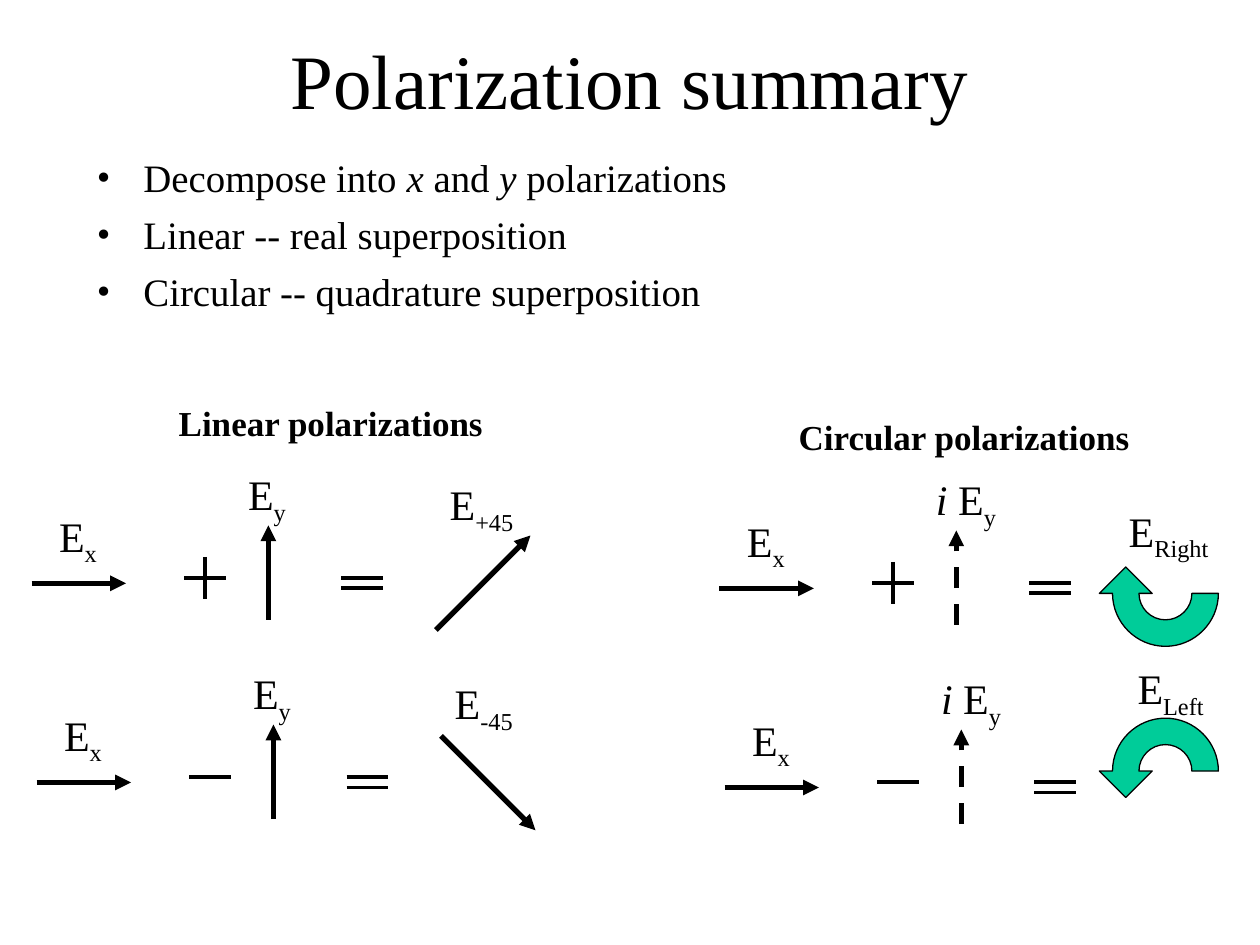
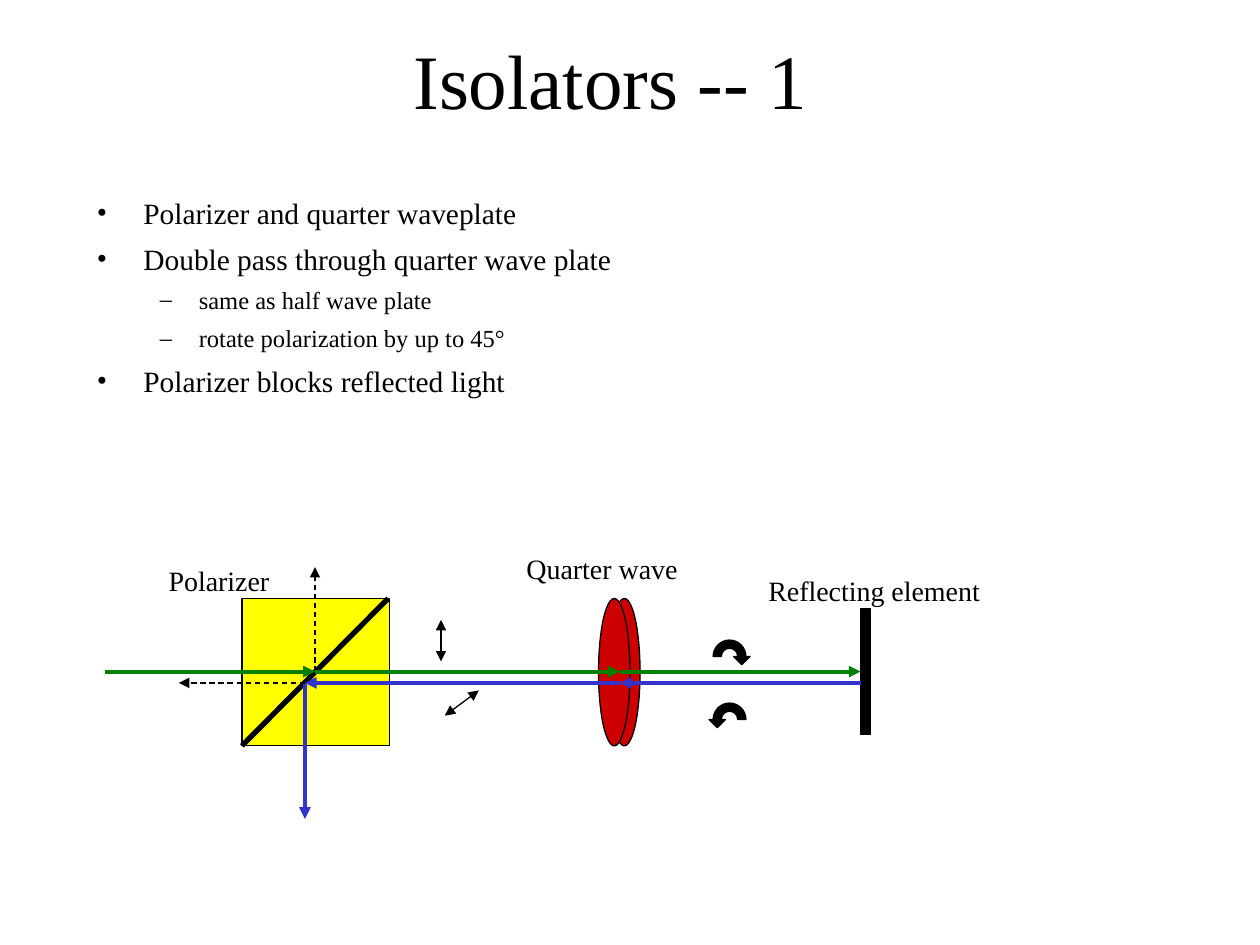
from dataclasses import dataclass
from typing import NamedTuple

from lxml import etree
from pptx import Presentation
from pptx.dml.color import RGBColor
from pptx.enum.dml import MSO_LINE
from pptx.enum.shapes import MSO_CONNECTOR, MSO_SHAPE
from pptx.enum.text import MSO_ANCHOR, MSO_AUTO_SIZE, PP_ALIGN
from pptx.oxml.ns import qn
from pptx.shapes.autoshape import Shape
from pptx.shapes.connector import Connector
from pptx.slide import Slide
from pptx.util import Inches, Pt

STRAIGHT = MSO_CONNECTOR.STRAIGHT
DASH = MSO_LINE.DASH
RECTANGLE = MSO_SHAPE.RECTANGLE
OVAL = MSO_SHAPE.OVAL
MIDDLE = MSO_ANCHOR.MIDDLE
CENTER = PP_ALIGN.CENTER
FIT_SHAPE = MSO_AUTO_SIZE.SHAPE_TO_FIT_TEXT
NO_FIT = MSO_AUTO_SIZE.NONE
LEFT_SIDE = 1

FONT = "Times New Roman"
BLACK = "000000"
GREEN = "008000"
BLUE = "3333CC"
RED = "CC0000"
YELLOW = "FFFF00"
TEAL = "00CC99"
TITLE_SIZE = 44
SYMBOL_SIZE = 24
HEADING_SIZE = 20
LABEL_SIZE = 16
LABEL_SLACK = 0.01
ARC_HANDLE = 0.55
CURVE_STARTS = (0, 3, 7, 10)


class Point(NamedTuple):
    """A place on the slide in inches."""
    x: float
    y: float


class Box(NamedTuple):
    """Left, top, width and height in inches."""
    left: float
    top: float
    width: float
    height: float


class Span(NamedTuple):
    """A piece of text with its own slant or baseline."""
    text: str
    italic: bool = False
    subscript: bool = False


class BulletStyle(NamedTuple):
    """Look of one list level."""
    mark: str
    margin: float
    indent: float
    space_before: float


class Bullet(NamedTuple):
    """One list item."""
    spans: list[Span]
    size: float
    level: int = 0


@dataclass(frozen=True)
class Line:
    """A straight line with optional arrowheads."""
    start: Point
    end: Point
    color: str = BLACK
    width: float = 0.75
    dashed: bool = False
    head: bool = False
    tail: bool = False


@dataclass(frozen=True)
class Turn:
    """A half ring ending in an arrowhead; side -1 is left, bend -1 is up."""
    center: Point
    radius: float
    side: int
    bend: int
    color: str = BLACK


@dataclass(frozen=True)
class Equation:
    """One superposition, placed by the tail of its x arrow."""
    origin: Point
    plus: bool
    circular: bool
    result: str
    result_box: Box


BULLET_STYLES = [BulletStyle("•", 0.37, -0.37, 6), BulletStyle("–", 0.81, -0.31, 5)]

EQUATIONS = [
    Equation(Point(0.25, 4.63), True, False, "+45", Box(3.48, 3.75, 0.7, 0.56)),
    Equation(Point(0.29, 6.21), False, False, "-45", Box(3.52, 5.33, 0.66, 0.56)),
    Equation(Point(5.71, 4.67), True, True, "Right", Box(8.87, 3.96, 0.83, 0.56)),
    Equation(Point(5.75, 6.25), False, True, "Left", Box(8.94, 5.21, 0.72, 0.56)),
]


def rgb(color: str) -> RGBColor:
    """Turn a hex string into a colour."""
    return RGBColor.from_string(color)


def add_spans(paragraph, spans: list[Span], size: float, bold: bool = False) -> None:
    """Fill a paragraph with formatted runs."""
    for span in spans:
        run = paragraph.add_run()
        run.text = span.text
        run.font.name = FONT
        run.font.size = Pt(size)
        run.font.bold = bold
        run.font.italic = span.italic
        run.font.color.rgb = rgb(BLACK)
        if span.subscript:
            run.font._element.set("baseline", "-25000")


def add_box(slide: Slide, box: Box, wrap: bool) -> Shape:
    """Add an empty text box."""
    shape = slide.shapes.add_textbox(*map(Inches, box))
    shape.text_frame.word_wrap = wrap
    shape.text_frame.auto_size = NO_FIT if wrap else FIT_SHAPE
    return shape


def add_title(slide: Slide, text: str, left: float) -> None:
    """Add the centred slide title."""
    text_frame = add_box(slide, Box(left, 0, 8.5, 1.25), True).text_frame
    text_frame.vertical_anchor = MIDDLE
    text_frame.paragraphs[0].alignment = CENTER
    add_spans(text_frame.paragraphs[0], [Span(text)], TITLE_SIZE)


def add_label(slide: Slide, box: Box, spans: list[Span], size: float, bold: bool = False) -> None:
    """Add a one-line label with a little room on both sides."""
    roomy = box._replace(left=box.left - LABEL_SLACK, width=box.width + 2 * LABEL_SLACK)
    text_frame = add_box(slide, roomy, False).text_frame
    add_spans(text_frame.paragraphs[0], spans, size, bold)


def add_bullets(slide: Slide, box: Box, bullets: list[Bullet]) -> None:
    """Add the bulleted list."""
    text_frame = add_box(slide, box, True).text_frame
    for index, bullet in enumerate(bullets):
        paragraph = text_frame.add_paragraph() if index else text_frame.paragraphs[0]
        style = BULLET_STYLES[bullet.level]
        paragraph.level = bullet.level
        paragraph.space_before = Pt(style.space_before)
        properties = paragraph._p.get_or_add_pPr()
        properties.set("marL", str(Inches(style.margin)))
        properties.set("indent", str(Inches(style.indent)))
        etree.SubElement(properties, qn("a:buFont")).set("typeface", FONT)
        etree.SubElement(properties, qn("a:buChar")).set("char", style.mark)
        add_spans(paragraph, bullet.spans, bullet.size)


def add_line(slide: Slide, line: Line) -> Connector:
    """Draw a straight line."""
    ends = map(Inches, (*line.start, *line.end))
    connector = slide.shapes.add_connector(STRAIGHT, *ends)
    connector.line.color.rgb = rgb(line.color)
    connector.line.width = Pt(line.width)
    if line.dashed:
        connector.line.dash_style = DASH
    outline = connector.get_or_add_ln()
    for tag, wanted in (("a:headEnd", line.head), ("a:tailEnd", line.tail)):
        if wanted:
            etree.SubElement(outline, qn(tag)).set("type", "triangle")
    etree.SubElement(connector.element.spPr, qn("a:effectLst"))
    return connector


def paint(shape: Shape, color: str) -> None:
    """Give a shape its fill and thin black outline."""
    shape.shadow.inherit = False
    shape.fill.solid()
    shape.fill.fore_color.rgb = rgb(color)
    shape.line.color.rgb = rgb(BLACK)
    shape.line.width = Pt(0.75)


def add_shape(slide: Slide, kind: MSO_SHAPE, box: Box, color: str) -> Shape:
    """Draw a filled preset shape."""
    shape = slide.shapes.add_shape(kind, *map(Inches, box))
    paint(shape, color)
    return shape


def half_ring(radius: float) -> list[tuple[float, float]]:
    """Give the ends and handles of two quarter arcs."""
    handle = ARC_HANDLE * radius
    return [(radius, 0), (radius, handle), (handle, radius), (0, radius),
            (-handle, radius), (-radius, handle), (-radius, 0)]


def add_turn(slide: Slide, turn: Turn) -> None:
    """Draw a curved block arrow."""
    arrowhead = [(1.25, 0), (0.75, -0.5), (0.25, 0)]
    points = [
        (Inches(turn.center.x + turn.side * turn.radius * x),
         Inches(turn.center.y + turn.bend * turn.radius * y))
        for x, y in half_ring(0.5) + half_ring(1)[::-1] + arrowhead
    ]
    builder = slide.shapes.build_freeform(*points[0])
    builder.add_line_segments(points[1:], close=True)
    shape = builder.convert_to_shape()
    segments = list(shape.element.iter(qn("a:lnTo")))
    for first in CURVE_STARTS:
        curve = etree.Element(qn("a:cubicBezTo"))
        segments[first].addprevious(curve)
        for segment in segments[first:first + 3]:
            curve.append(segment[0])
            segment.getparent().remove(segment)
    paint(shape, turn.color)


def add_equation(slide: Slide, equation: Equation) -> None:
    """Draw one sum or difference of field components."""
    x, y = equation.origin

    def line(x1: float, y1: float, x2: float, y2: float, width: float, **options: bool) -> None:
        """Draw a line placed relative to the equation."""
        add_line(slide, Line(Point(x + x1, y + y1), Point(x + x2, y + y2), width=width, **options))

    line(0, 0, 0.75, 0, 3, tail=True)
    line(1.88, 0.29, 1.88, -0.46, 3, tail=True, dashed=equation.circular)
    line(1.54, -0.04, 1.21, -0.04, 2.25)
    if equation.plus:
        line(1.38, -0.21, 1.38, 0.12, 2.25)
    for offset in (0.04, -0.04):
        line(2.46, offset, 2.79, offset, 2.25)

    field = Span("E")
    prefix = [Span("i ", italic=True)] if equation.circular else []
    y_width = 0.67 if equation.circular else 0.5
    y_spans = [*prefix, field, Span("y", subscript=True)]
    add_label(slide, Box(x + 0.13, y - 0.63, 0.5, 0.56), [field, Span("x", subscript=True)], SYMBOL_SIZE)
    add_label(slide, Box(x + 1.63, y - 0.96, y_width, 0.56), y_spans, SYMBOL_SIZE)
    add_label(slide, equation.result_box, [field, Span(equation.result, subscript=True)], SYMBOL_SIZE)

    direction = 1 if equation.plus else -1
    if equation.circular:
        center = Point(9.25, 4.71 if equation.plus else 6.12)
        add_turn(slide, Turn(center, 0.42, -1, direction, TEAL))
    else:
        line(3.21, 0.37 * direction, 3.96, -0.38 * direction, 3, tail=True)


def build_summary(slide: Slide) -> None:
    """Build the polarization summary."""
    add_title(slide, "Polarization summary", 0.75)
    decompose = [Span("Decompose into "), Span("x", italic=True), Span(" and "),
                 Span("y", italic=True), Span(" polarizations")]
    items = [decompose, [Span("Linear -- real superposition")], [Span("Circular -- quadrature superposition")]]
    add_bullets(slide, Box(0.67, 1.17, 8.33, 1.42), [Bullet(spans, 22.2) for spans in items])
    for equation in EQUATIONS:
        add_equation(slide, equation)
    add_label(slide, Box(1.33, 3.14, 2.62, 0.44), [Span("Linear polarizations")], HEADING_SIZE, True)
    add_label(slide, Box(6.25, 3.25, 2.83, 0.44), [Span("Circular polarizations")], HEADING_SIZE, True)


def build_isolators(slide: Slide) -> None:
    """Build the isolator diagram."""
    add_title(slide, "Isolators -- 1 ", 0.67)
    items = [("Polarizer and quarter waveplate", 0), ("Double pass through quarter wave plate", 0),
             ("same as half wave plate", 1), ("rotate polarization by up to 45°", 1),
             ("Polarizer blocks reflected light", 0)]
    bullets = [Bullet([Span(text)], (16.8, 14)[level], level) for text, level in items]
    add_bullets(slide, Box(0.67, 1.5, 7.83, 1.67), bullets)
    add_shape(slide, RECTANGLE, Box(1.92, 4.75, 1.17, 1.17), YELLOW)
    for left in (4.83, 4.75):
        add_shape(slide, OVAL, Box(left, 4.75, 0.25, 1.17), RED)
    mirror = add_shape(slide, RECTANGLE, Box(6.83, 4.83, 0.08, 1), BLACK)

    split, plate, reflection = Point(2.5, 5.33), Point(4.92, 5.33), Point(6.83, 5.33)
    returned, plate_back = Point(2.42, 5.42), Point(4.92, 5.42)
    add_line(slide, Line(Point(1.92, 5.92), Point(3.08, 4.75), width=3))
    add_line(slide, Line(split, Point(2.5, 4.5), dashed=True, tail=True))
    for start, end in ((Point(0.83, 5.33), split), (split, plate)):
        add_line(slide, Line(start, end, GREEN, 2.25, tail=True))
    incoming = add_line(slide, Line(plate, reflection, GREEN, 2.25, tail=True))
    incoming.end_connect(mirror, LEFT_SIDE)
    for start, end in ((Point(6.83, 5.42), plate_back), (plate_back, returned), (returned, Point(2.42, 6.5))):
        add_line(slide, Line(start, end, BLUE, 2.25, tail=True))
    add_line(slide, Line(returned, Point(1.42, 5.42), dashed=True, tail=True))
    for start, end in ((Point(3.5, 4.92), Point(3.5, 5.25)), (Point(3.8, 5.48), Point(3.53, 5.68))):
        add_line(slide, Line(start, end, head=True, tail=True))
    for center_y, side in ((5.21, 1), (5.71, -1)):
        add_turn(slide, Turn(Point(5.79, center_y), 0.13, side, -1))

    add_label(slide, Box(4.09, 4.33, 1.4, 0.37), [Span("Quarter wave")], LABEL_SIZE)
    add_label(slide, Box(1.25, 4.42, 1.05, 0.37), [Span("Polarizer")], LABEL_SIZE)
    add_label(slide, Box(6.01, 4.5, 1.88, 0.37), [Span("Reflecting element")], LABEL_SIZE)


def main() -> None:
    """Build and save the presentation."""
    presentation = Presentation()
    presentation.slide_width, presentation.slide_height = Inches(10), Inches(7.5)
    for build in (build_summary, build_isolators):
        build(presentation.slides.add_slide(presentation.slide_layouts[6]))
    presentation.save("out.pptx")


if __name__ == "__main__":
    main()
